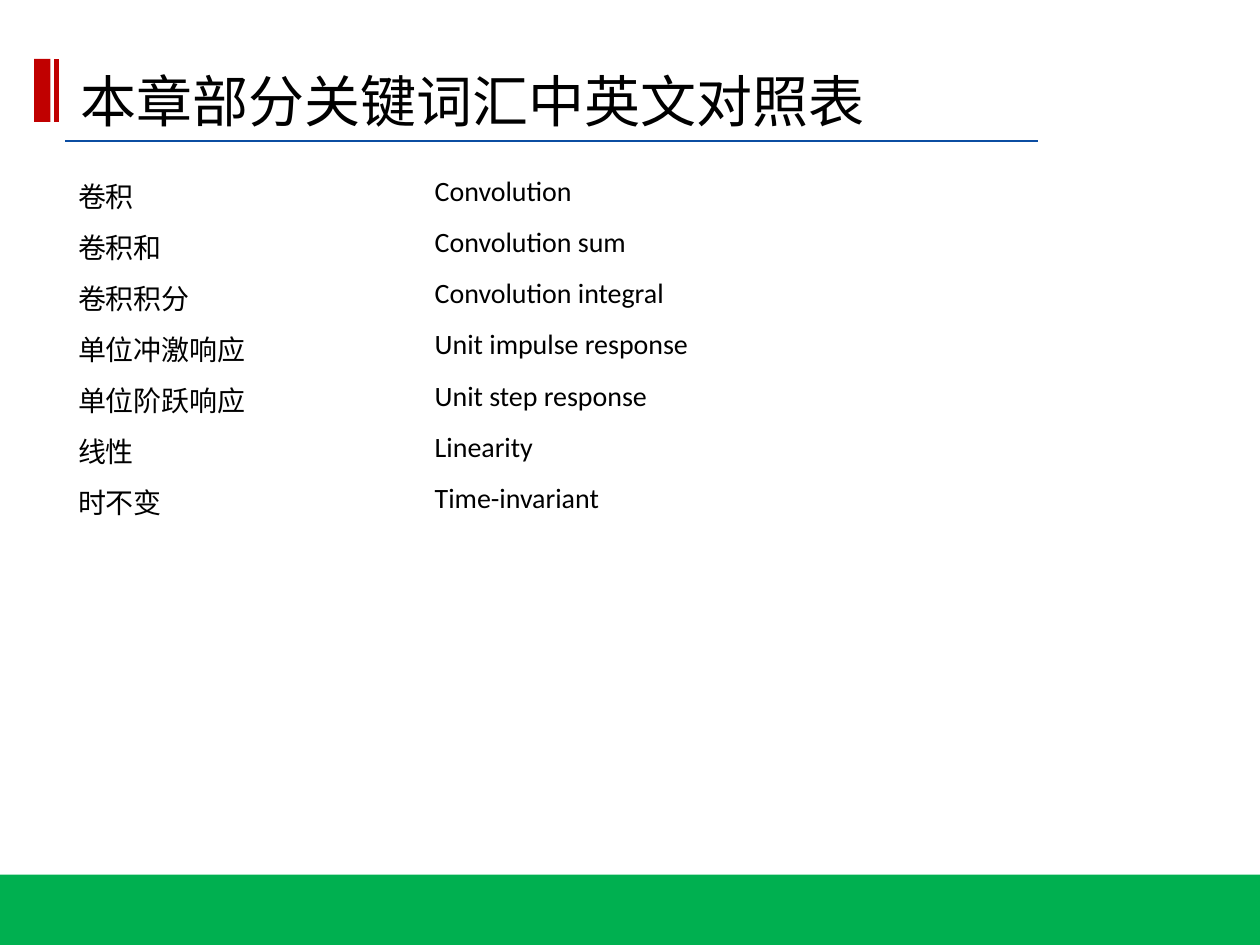
import pptx
import pptx.dml.color
import pptx.enum.shapes
import pptx.enum.text
import pptx.oxml.ns
import pptx.util
from lxml import etree
from pptx.util import Cm, Pt

TITLE = "本章部分关键词汇中英文对照表"
TERMS = [
    ("卷积", "Convolution"),
    ("卷积和", "Convolution sum"),
    ("卷积积分", "Convolution integral"),
    ("单位冲激响应", "Unit impulse response"),
    ("单位阶跃响应", "Unit step response"),
    ("线性", "Linearity"),
    ("时不变", "Time-invariant"),
]
THEME = {
    "font": "Calibri",
    "title_size": 32,
    "term_size": 16,
    "text": "000000",
    "footer": "00B050",
    "accent": "C00000",
    "rule": "0B4DA2",
}
SLIDE_W, SLIDE_H = 25.4, 19.05
FOOTER_H = 1.42
LEFT = 1.32
COL_W, ROW_H = 7.19, 1.03
MARK_TOP, MARK_H = 1.19, 1.27


def color(name):
    return pptx.dml.color.RGBColor.from_string(THEME[name])


def add_bar(s, left, top, width, height, fill):
    sp = s.shapes.add_shape(pptx.enum.shapes.MSO_SHAPE.RECTANGLE,
                            Cm(left), Cm(top), Cm(width), Cm(height))
    sp.shadow.inherit = False
    sp.fill.solid()
    sp.fill.fore_color.rgb = color(fill)
    sp.line.fill.background()


def add_line(s, x1, y1, x2, y2, stroke, width):
    line = s.shapes.add_connector(pptx.enum.shapes.MSO_CONNECTOR.STRAIGHT,
                                  Cm(x1), Cm(y1), Cm(x2), Cm(y2))
    line.line.color.rgb = color(stroke)
    line.line.width = Pt(width)
    etree.SubElement(line._element.spPr, pptx.oxml.ns.qn("a:effectLst"))


def write(tf, text, size):
    tf.text = text
    p = tf.paragraphs[0]
    for r in p.runs:
        r.font.name = THEME["font"]
        r.font.size = Pt(THEME[size])
        r.font.color.rgb = color("text")
        r.font.bold = False
    return p


def add_title(s):
    tf = s.shapes.add_textbox(Cm(1.37), Cm(0.64), Cm(19.53), Cm(2.18)).text_frame
    tf.word_wrap = True
    tf.vertical_anchor = pptx.enum.text.MSO_ANCHOR.BOTTOM
    write(tf, TITLE, "title_size").line_spacing = 0.85


def add_glossary(s):
    cols = len(TERMS[0])
    table = s.shapes.add_table(len(TERMS), cols, Cm(LEFT), Cm(3.4),
                               Cm(COL_W * cols), Cm(ROW_H * len(TERMS))).table
    table.first_row = False
    table.horz_banding = False
    # The "No Style, No Grid" table style leaves out all borders.
    style = table._tbl.tblPr.find(pptx.oxml.ns.qn("a:tableStyleId"))
    style.text = "{2D5ABB26-0587-4C30-8999-92F81FD0307C}"
    for i, terms in enumerate(TERMS):
        table.rows[i].height = Cm(ROW_H)
        for j, term in enumerate(terms):
            cell = table.cell(i, j)
            cell.fill.background()
            write(cell.text_frame, term, "term_size")


def main():
    prs = pptx.Presentation()
    prs.slide_width, prs.slide_height = Cm(SLIDE_W), Cm(SLIDE_H)
    s = prs.slides.add_slide(prs.slide_layouts[6])
    add_bar(s, 0, SLIDE_H - FOOTER_H, SLIDE_W, FOOTER_H, "footer")
    add_line(s, LEFT, 2.84, 20.93, 2.84, "rule", 1.5)
    add_bar(s, 0.69, MARK_TOP, 0.33, MARK_H, "accent")
    add_line(s, 1.14, MARK_TOP, 1.14, MARK_TOP + MARK_H, "accent", 3)
    add_title(s)
    add_glossary(s)
    prs.save("out.pptx")


if __name__ == "__main__":
    main()
